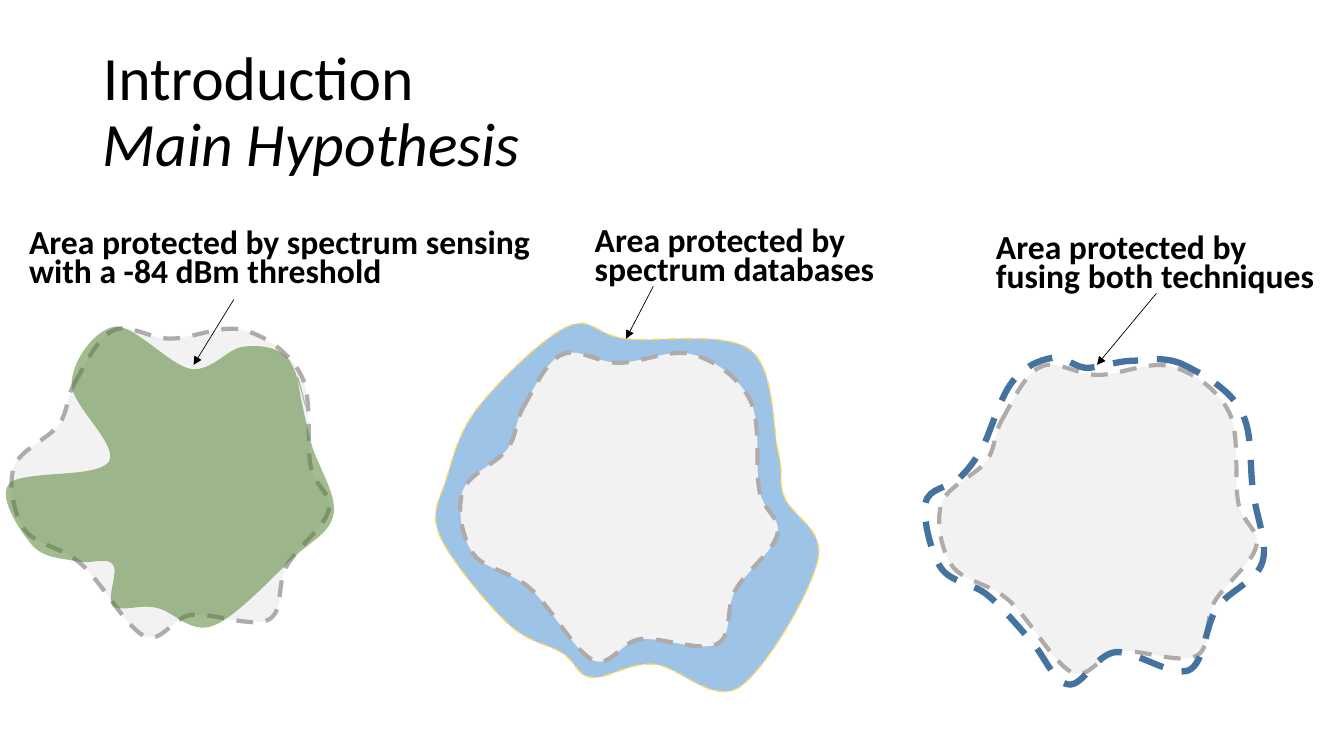
from lxml import etree
from pptx import Presentation
from pptx.dml.color import RGBColor
from pptx.enum.dml import MSO_LINE
from pptx.enum.shapes import MSO_CONNECTOR
from pptx.enum.text import MSO_ANCHOR, MSO_AUTO_SIZE, PP_ALIGN
from pptx.oxml.ns import qn
from pptx.util import Inches, Pt

DASH, LONG_DASH = MSO_LINE.DASH, MSO_LINE.LONG_DASH
STRAIGHT = MSO_CONNECTOR.STRAIGHT
BLACK = RGBColor(0x00, 0x00, 0x00)
LIGHT_GREY = RGBColor(0xF2, 0xF2, 0xF2)
GREY = RGBColor(0xAF, 0xAB, 0xAB)
GREEN = RGBColor(0x54, 0x82, 0x35)
SKY = RGBColor(0x9D, 0xC3, 0xE6)
YELLOW = RGBColor(0xFF, 0xD9, 0x66)
BLUE = RGBColor(0x43, 0x73, 0x9E)
FONT = "Calibri"

# Outlines: a start point, then cubic curves (two controls and an end point)
TRUE_AREA = ((0.74, 3.8), [
    (0.83, 3.65, 0.96, 3.35, 1.12, 3.28), (1.28, 3.2, 1.47, 3.36, 1.69, 3.36),
    (1.91, 3.36, 2.21, 3.21, 2.43, 3.28), (2.65, 3.34, 2.88, 3.51, 2.99, 3.73),
    (3.1, 3.95, 3.04, 4.4, 3.08, 4.62), (3.12, 4.84, 3.3, 4.89, 3.26, 5.06),
    (3.22, 5.23, 2.94, 5.44, 2.84, 5.62), (2.74, 5.81, 2.82, 6.07, 2.66, 6.15),
    (2.5, 6.23, 2.11, 6.08, 1.9, 6.1), (1.7, 6.13, 1.61, 6.39, 1.43, 6.31),
    (1.25, 6.22, 1.01, 5.78, 0.81, 5.6), (0.61, 5.42, 0.35, 5.41, 0.24, 5.25),
    (0.13, 5.09, 0.08, 4.8, 0.14, 4.63), (0.2, 4.46, 0.47, 4.36, 0.58, 4.22),
    (0.68, 4.08, 0.65, 3.96, 0.74, 3.8)])
SENSING_AREA = ((3.03, 4.04), [
    (3.01, 4.01, 2.95, 3.64, 2.84, 3.54), (2.74, 3.44, 2.57, 3.42, 2.41, 3.44),
    (2.25, 3.46, 2.1, 3.69, 1.89, 3.66), (1.68, 3.62, 1.33, 3.22, 1.14, 3.24),
    (0.94, 3.27, 0.72, 3.57, 0.71, 3.8), (0.7, 4.02, 1.18, 4.41, 1.08, 4.58),
    (0.97, 4.75, 0.22, 4.66, 0.09, 4.8), (-0.03, 4.94, 0.21, 5.28, 0.32, 5.41),
    (0.43, 5.54, 0.63, 5.54, 0.77, 5.57), (0.9, 5.6, 1.06, 5.52, 1.12, 5.6),
    (1.18, 5.67, 1.05, 5.94, 1.12, 6.01), (1.19, 6.08, 1.39, 5.99, 1.55, 6.03),
    (1.72, 6.06, 1.88, 6.29, 2.11, 6.21), (2.33, 6.13, 2.69, 5.74, 2.89, 5.55),
    (3.09, 5.36, 3.28, 5.29, 3.31, 5.09), (3.34, 4.89, 3.13, 4.59, 3.08, 4.37),
    (3.02, 4.14, 2.95, 3.79, 2.95, 3.74), (2.95, 3.68, 3.05, 4.08, 3.03, 4.04)])
DATABASE_AREA = ((7.72, 4.49), [
    (7.66, 4.25, 7.69, 3.66, 7.44, 3.47), (7.19, 3.28, 6.51, 3.4, 6.21, 3.36),
    (5.91, 3.33, 5.87, 3.13, 5.63, 3.24), (5.38, 3.35, 4.95, 3.78, 4.75, 4.03),
    (4.55, 4.28, 4.5, 4.52, 4.43, 4.74), (4.37, 4.95, 4.26, 5.07, 4.36, 5.31),
    (4.46, 5.55, 4.83, 5.99, 5.03, 6.18), (5.24, 6.38, 5.44, 6.39, 5.58, 6.48),
    (5.72, 6.57, 5.72, 6.71, 5.87, 6.72), (6.02, 6.74, 6.24, 6.57, 6.48, 6.59),
    (6.73, 6.6, 7.06, 6.99, 7.33, 6.82), (7.6, 6.64, 8.04, 5.88, 8.11, 5.56),
    (8.19, 5.25, 7.85, 5.12, 7.78, 4.93), (7.71, 4.75, 7.78, 4.74, 7.72, 4.49)])
FUSED_AREA = ((11.72, 3.61), [
    (11.54, 3.53, 11.36, 3.58, 11.21, 3.58), (11.05, 3.59, 10.9, 3.65, 10.77, 3.65),
    (10.65, 3.64, 10.56, 3.53, 10.44, 3.55), (10.31, 3.57, 10.15, 3.64, 10.04, 3.79),
    (9.92, 3.94, 9.83, 4.27, 9.75, 4.43), (9.66, 4.59, 9.6, 4.66, 9.51, 4.75),
    (9.41, 4.84, 9.21, 4.84, 9.18, 4.99), (9.15, 5.13, 9.23, 5.48, 9.33, 5.63),
    (9.43, 5.78, 9.64, 5.78, 9.79, 5.9), (9.94, 6.02, 10.09, 6.21, 10.23, 6.36),
    (10.36, 6.51, 10.46, 6.78, 10.6, 6.79), (10.74, 6.81, 10.86, 6.5, 11.06, 6.47),
    (11.26, 6.45, 11.62, 6.72, 11.79, 6.65), (11.95, 6.58, 11.95, 6.21, 12.07, 6.03),
    (12.2, 5.85, 12.46, 5.77, 12.52, 5.58), (12.58, 5.39, 12.46, 5.13, 12.43, 4.88),
    (12.39, 4.63, 12.43, 4.29, 12.31, 4.08), (12.2, 3.86, 11.91, 3.7, 11.72, 3.61)])

# Area styles: outline, fill, opacity in %, (line colour, points, dash)
TRUE = (TRUE_AREA, LIGHT_GREY, 100, (GREY, 3, DASH))
SENSING = (SENSING_AREA, GREEN, 54, None)
DATABASE = (DATABASE_AREA, SKY, 100, (YELLOW, 1, LONG_DASH))
FUSED = (FUSED_AREA, None, 100, (BLUE, 4.5, DASH))

TITLE = [("Introduction", False), ("Main Hypothesis", True)]
# Panels: label lines, label box, arrow ends, areas from back to front with offsets
PANELS = [
    (("Area protected by spectrum sensing", "with a -84 dBm threshold"),
     (0.19, 2.25, 5.3, 0.71), (2.32, 2.97, 1.92, 3.62),
     [(TRUE, 0, 0), (SENSING, 0, 0)]),
    (("Area protected by", "spectrum databases"),
     (5.8, 2.23, 3.01, 0.71), (6.48, 2.84, 6.21, 3.36),
     [(DATABASE, 0, 0), (TRUE, 4.45, 0.24)]),
    (("Area protected by", "fusing both techniques"),
     (9.78, 2.3, 3.39, 0.71), (11.47, 2.91, 10.88, 3.62),
     [(TRUE, 9.2, 0.36), (FUSED, 0, 0)]),
]


def add_outline(slide, outline, dx, dy):
    """Add a freeform through the end points, then bend its sides into curves."""
    def place(x, y):
        return Inches(x + dx), Inches(y + dy)

    start, curves = outline
    builder = slide.shapes.build_freeform(*place(*start))
    builder.add_line_segments([place(*curve[4:]) for curve in curves], close=True)
    area = builder.convert_to_shape()
    for side, curve in zip(list(area._element.iter(qn("a:lnTo"))), curves):
        side.tag = qn("a:cubicBezTo")
        for i, control in enumerate((curve[:2], curve[2:4])):
            x, y = place(*control)
            side.insert(i, etree.Element(qn("a:pt"), x=str(x - area.left),
                                         y=str(y - area.top)))
    return area


def add_area(slide, style, dx, dy):
    outline, fill, opacity, border = style
    area = add_outline(slide, outline, dx, dy)
    area.shadow.inherit = False
    if fill is None:
        area.fill.background()
    else:
        area.fill.solid()
        area.fill.fore_color.rgb = fill
    if opacity < 100:
        color = area._element.spPr.find(qn("a:solidFill"))[0]
        etree.SubElement(color, qn("a:alpha"), val=str(opacity * 1000))
    if border is None:
        area.line.fill.background()
    else:
        color, width, dash = border
        area.line.color.rgb = color
        area.line.width = Pt(width)
        area.line.dash_style = dash


def add_arrow(slide, ends):
    arrow = slide.shapes.add_connector(STRAIGHT, *map(Inches, ends))
    arrow.line.color.rgb = BLACK
    arrow.line.width = Pt(0.5)
    properties = arrow._element.spPr
    etree.SubElement(properties.find(qn("a:ln")), qn("a:tailEnd"), type="triangle")
    etree.SubElement(properties, qn("a:effectLst"))


def write_lines(paragraph, lines, size, bold, spacing):
    paragraph.alignment = PP_ALIGN.LEFT
    paragraph.line_spacing = spacing
    for i, (text, italic) in enumerate(lines):
        if i:
            paragraph.add_line_break()
        run = paragraph.add_run()
        run.text = text
        run.font.name, run.font.size = FONT, Pt(size)
        run.font.bold, run.font.italic = bold, italic
        run.font.color.rgb = BLACK


def main():
    prs = Presentation()
    prs.slide_width, prs.slide_height = Inches(13.33), Inches(7.5)
    slide = prs.slides.add_slide(prs.slide_layouts[5])

    # Title
    title = slide.shapes.title
    title.left, title.top = Inches(0.92), Inches(0.4)
    title.width, title.height = Inches(12.07), Inches(1.45)
    title.text_frame.vertical_anchor = MSO_ANCHOR.MIDDLE
    write_lines(title.text_frame.paragraphs[0], TITLE, 44, False, 0.9)

    # Three protected areas, each with its label and arrow
    for lines, box, arrow_ends, areas in PANELS:
        for style, dx, dy in areas:
            add_area(slide, style, dx, dy)
        label = slide.shapes.add_textbox(*map(Inches, box)).text_frame
        label.word_wrap = False
        label.auto_size = MSO_AUTO_SIZE.SHAPE_TO_FIT_TEXT
        write_lines(label.paragraphs[0], [(line, False) for line in lines],
                    24, True, Pt(21))
        add_arrow(slide, arrow_ends)

    prs.save("out.pptx")


if __name__ == "__main__":
    main()
